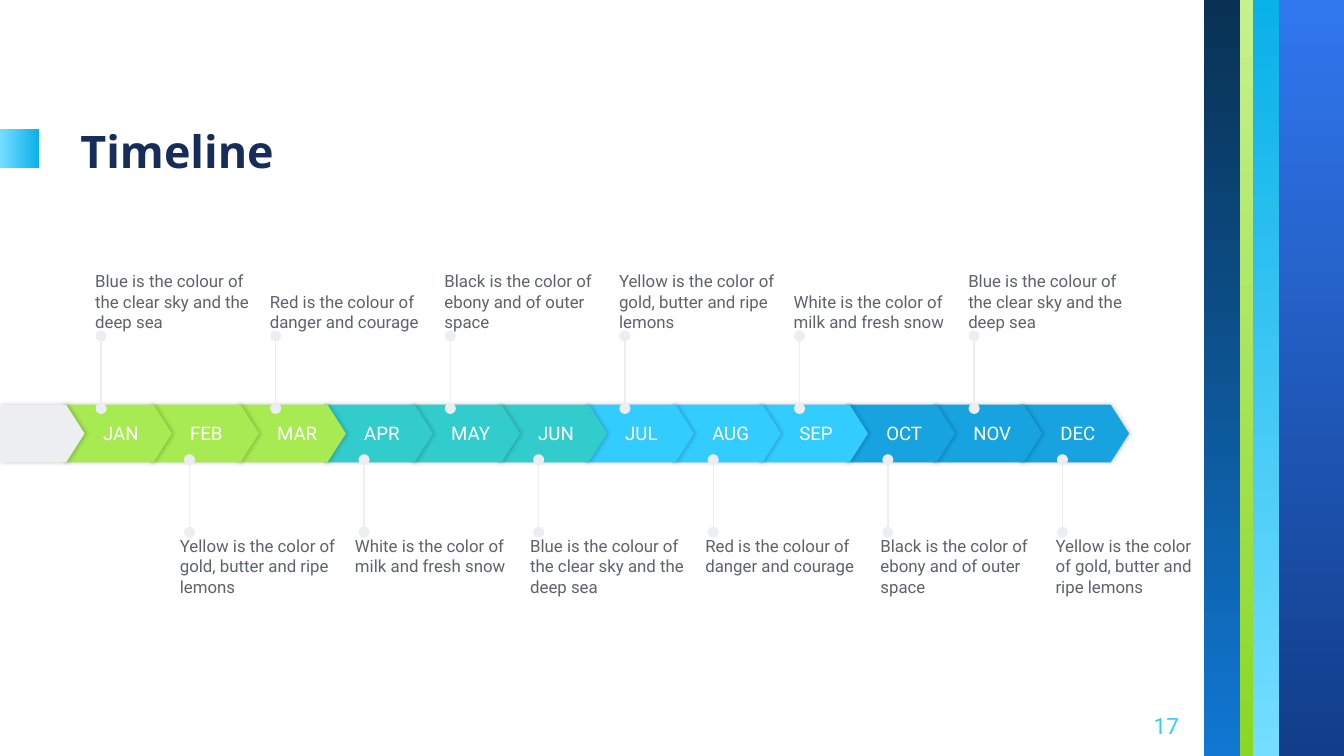
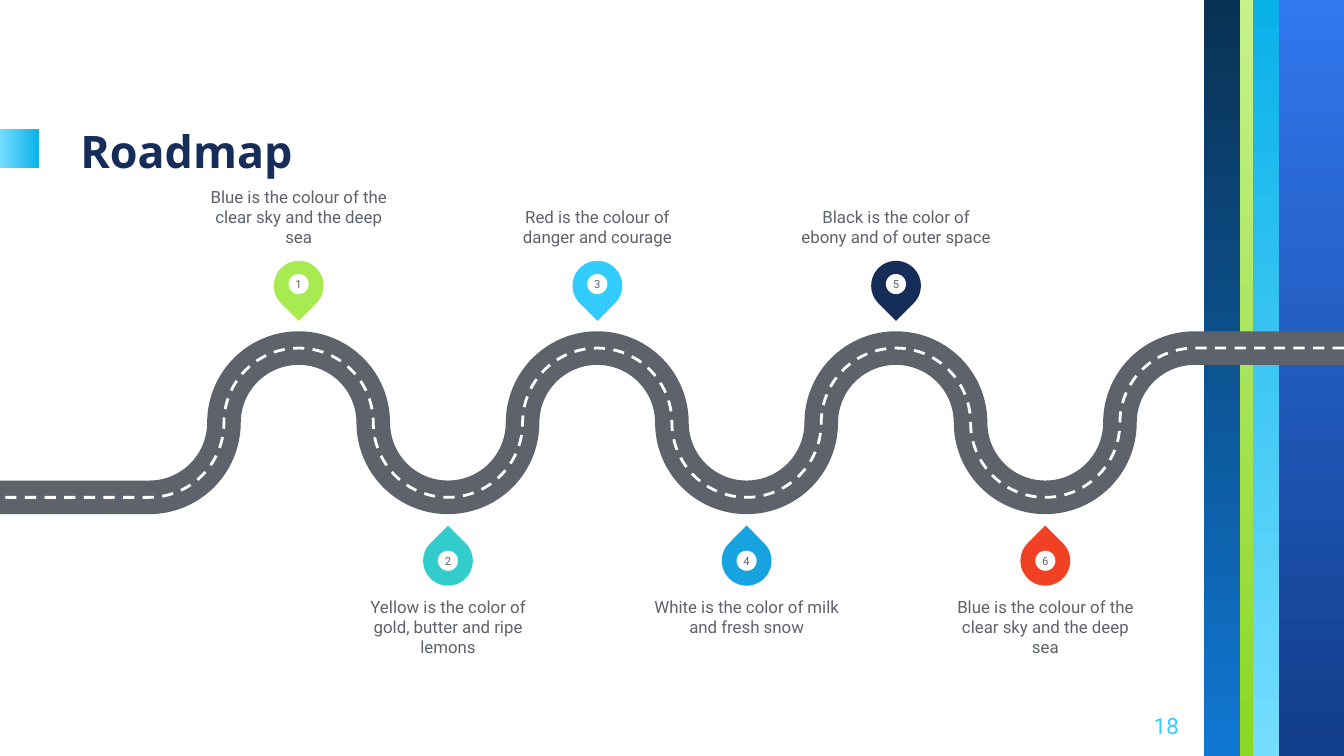
from lxml import etree
from pptx import Presentation
from pptx.dml.color import RGBColor
from pptx.enum.dml import MSO_LINE
from pptx.enum.shapes import MSO_CONNECTOR, MSO_SHAPE
from pptx.enum.text import MSO_ANCHOR, PP_ALIGN
from pptx.oxml.ns import qn
from pptx.util import Cm, Pt

RECT, ARROW = MSO_SHAPE.RECTANGLE, MSO_SHAPE.PENTAGON
TEARDROP, OVAL = MSO_SHAPE.TEAR, MSO_SHAPE.OVAL
STRAIGHT, DASH = MSO_CONNECTOR.STRAIGHT, MSO_LINE.DASH
TOP, MIDDLE, BOTTOM = MSO_ANCHOR.TOP, MSO_ANCHOR.MIDDLE, MSO_ANCHOR.BOTTOM
LEFT, CENTER, RIGHT = PP_ALIGN.LEFT, PP_ALIGN.CENTER, PP_ALIGN.RIGHT

WIDTH, HEIGHT = 25.4, 14.29
NAVY, GREY, PALE, WHITE = "162D5A", "5E626B", "EDEEF1", "FFFFFF"
LIME, TEAL, SKY, BLUE, RED = "A7EA52", "33CCCC", "33CCFF", "16A3E0", "F14124"
AQUA = ("75DDFF", "09B1E9")

# Side bands: left edge, gradient, rotation
BANDS = [
    (22.75, ("1077D2", "093153"), 180),
    (23.44, ("C6F18D", "8AD824"), 0),
    (23.68, AQUA, 180),
    (24.17, ("3177EE", "113D8A"), 0),
]

BLUE_NOTE = "Blue is the colour of the clear sky and the deep sea"
YELLOW_NOTE = "Yellow is the color of gold, butter and ripe lemons"
RED_NOTE = "Red is the colour of danger and courage"
BLACK_NOTE = "Black is the color of ebony and of outer space"
WHITE_NOTE = "White is the color of milk and fresh snow"


def rgb(color):
    return RGBColor.from_string(color)


def write(shape, text, size=9, color=GREY, font="Roboto", bold=False,
          align=LEFT, anchor=TOP, insets=(0, 0, 0, 0)):
    frame = shape.text_frame
    frame.word_wrap = True
    frame.vertical_anchor = anchor
    (frame.margin_left, frame.margin_top,
     frame.margin_right, frame.margin_bottom) = map(Cm, insets)
    paragraph = frame.paragraphs[0]
    paragraph.alignment = align
    run = paragraph.add_run()
    run.text = text
    run.font.size = Pt(size)
    run.font.name = font
    run.font.bold = bold
    run.font.color.rgb = rgb(color)


class Deck:
    def __init__(self):
        self.prs = Presentation()
        self.prs.slide_width, self.prs.slide_height = Cm(WIDTH), Cm(HEIGHT)
        self.slide = None

    def new_slide(self, title, number):
        self.slide = self.prs.slides.add_slide(self.prs.slide_layouts[6])
        # Bands run from their left edge to the next one
        edges = [left for left, _, _ in BANDS] + [WIDTH]
        for (left, colors, rotation), right in zip(BANDS, edges[1:]):
            self.shape(RECT, left, 0, right - left, HEIGHT, colors, rotation)
        # Title and its marker
        self.shape(RECT, 0, 2.44, 0.74, 0.74, AQUA, 270)
        self.text(title, 1.27, 1.57, 14.73, 2.03, size=24, color=NAVY,
                  font="Open Sans", bold=True, anchor=BOTTOM,
                  insets=(0.25,) * 4)
        # Page number
        self.text(str(number), 21.01, 13.18, 1.52, 1.09, size=12, color=SKY,
                  align=RIGHT, anchor=MIDDLE, insets=(0.25,) * 4)

    def shape(self, kind, left, top, width, height, fill, rotation=0):
        """A pair of colours as fill gives a vertical gradient."""
        shape = self.slide.shapes.add_shape(
            kind, Cm(left), Cm(top), Cm(width), Cm(height))
        shape.shadow.inherit = False
        shape.line.fill.background()
        shape.rotation = rotation
        if isinstance(fill, str):
            shape.fill.solid()
            shape.fill.fore_color.rgb = rgb(fill)
        else:
            shape.fill.gradient()
            shape.fill.gradient_angle = 270
            for stop, color in zip(shape.fill.gradient_stops, fill):
                stop.color.rgb = rgb(color)
        return shape

    def text(self, text, left, top, width, height, **style):
        box = self.slide.shapes.add_textbox(
            Cm(left), Cm(top), Cm(width), Cm(height))
        write(box, text, **style)

    def arrow(self, left, width, fill):
        arrow = self.shape(ARROW, left, 7.65, width, 1.09, fill)
        arrow.adjustments[0] = 0.32
        # Soft shadow to the right
        effects = arrow._element.spPr.find(qn("a:effectLst"))
        shadow = etree.SubElement(effects, qn("a:outerShdw"), blurRad="27940",
                                  dist="10160", dir="0", rotWithShape="0")
        black = etree.SubElement(shadow, qn("a:srgbClr"), val="000000")
        etree.SubElement(black, qn("a:alpha"), val="20000")
        return arrow

    def stem(self, x, start, end):
        stem = self.slide.shapes.add_connector(
            STRAIGHT, Cm(x), Cm(start), Cm(x), Cm(end))
        stem.line.color.rgb = rgb(PALE)
        stem.line.width = Pt(0.75)
        properties = stem._element.spPr
        line = properties.find(qn("a:ln"))
        for tip in ("a:headEnd", "a:tailEnd"):
            etree.SubElement(line, qn(tip), type="oval")
        etree.SubElement(properties, qn("a:effectLst"))

    def road(self, top, radius, arcs, color, width, dash=None):
        """A straight lead-in, quarter circles, and a straight way out."""
        heights = [top, top + radius, top + 2 * radius, top + radius]
        first = (WIDTH + arcs * radius) / 2
        points = [(first - i * radius, heights[i % 4]) for i in range(arcs + 1)]
        points.append((0, points[-1][1]))
        builder = self.slide.shapes.build_freeform(Cm(WIDTH), Cm(top))
        builder.add_line_segments([(Cm(x), Cm(y)) for x, y in points],
                                  close=False)
        road = builder.convert_to_shape()
        road.shadow.inherit = False
        road.fill.background()
        road.line.color.rgb = rgb(color)
        road.line.width = Pt(width)
        if dash:
            road.line.dash_style = dash
        # Bend the segments between the two straight ends
        turns = [(270, -90), (0, 90), (90, 90), (0, -90)]
        segments = list(road._element.iter(qn("a:lnTo")))[1:-1]
        for i, segment in enumerate(segments):
            start, sweep = turns[i % 4]
            arc = etree.Element(
                qn("a:arcTo"), wR=str(Cm(radius)), hR=str(Cm(radius)),
                stAng=str(start * 60000), swAng=str(sweep * 60000))
            segment.getparent().replace(segment, arc)

    def pin(self, number, center, top, disc_top, rotation, color):
        drop = self.shape(TEARDROP, center - 0.47, top, 0.94, 0.94,
                          color, rotation)
        disc = self.shape(OVAL, center - 0.19, disc_top, 0.38, 0.38, WHITE)
        write(disc, str(number), size=6, align=CENTER, anchor=MIDDLE)
        self.slide.shapes.add_group_shape([drop, disc])


def timeline(deck):
    deck.new_slide("Timeline", 17)

    # Months, last one at the back
    months = "JAN FEB MAR APR MAY JUN JUL AUG SEP OCT NOV DEC".split()
    quarters = [LIME, TEAL, SKY, BLUE]
    month_step = 18.09 / 11
    for i in reversed(range(len(months))):
        arrow = deck.arrow(1.19 + i * month_step, 2.06, quarters[i // 3])
        write(arrow, months[i], size=10, color=WHITE, anchor=MIDDLE,
              insets=(0.76, 0, 0, 0))
    deck.arrow(0, 1.6, PALE)

    # Notes above the odd months
    above = [BLUE_NOTE, RED_NOTE, BLACK_NOTE, YELLOW_NOTE, WHITE_NOTE,
             BLUE_NOTE]
    for i, note in enumerate(above):
        deck.stem(1.91 + i * 3.3, 7.72, 6.35)
        deck.text(note, 1.8 + i * 3.3, 4.8, 3.12, 1.47, anchor=BOTTOM)

    # Notes below the even months, the last one narrower
    below = [YELLOW_NOTE, WHITE_NOTE, BLUE_NOTE, RED_NOTE, BLACK_NOTE,
             YELLOW_NOTE]
    for i, note in enumerate(below):
        deck.stem(3.58 + i * 3.3, 10.06, 8.69)
        width = 2.59 if i == len(below) - 1 else 3.12
        deck.text(note, 3.4 + i * 3.31, 10.13, width, 1.47)


def roadmap(deck):
    deck.new_slide("Roadmap", 18)

    # Road and its dashed centre line
    radius = WIDTH / 18
    deck.road(6.58, radius, 14, GREY, 18)
    deck.road(6.58, radius, 14, WHITE, 1.5, DASH)

    # Milestones, in turn above a crest and below a dip
    milestones = [(LIME, BLUE_NOTE), (TEAL, YELLOW_NOTE), (SKY, RED_NOTE),
                  (BLUE, WHITE_NOTE), (NAVY, BLACK_NOTE), (RED, BLUE_NOTE)]
    for i, (color, note) in enumerate(milestones):
        center = 2 * radius * (i + 2)
        if i % 2 == 0:
            deck.pin(i + 1, center, 4.93, 5.18, 135, color)
            note_top, anchor = 3.2, BOTTOM
        else:
            deck.pin(i + 1, center, 10.13, 10.41, 315, color)
            note_top, anchor = 11.28, TOP
        deck.text(note, center - 1.79, note_top, 3.58, 1.47,
                  align=CENTER, anchor=anchor)


def main():
    deck = Deck()
    timeline(deck)
    roadmap(deck)
    deck.prs.save("out.pptx")


if __name__ == "__main__":
    main()
